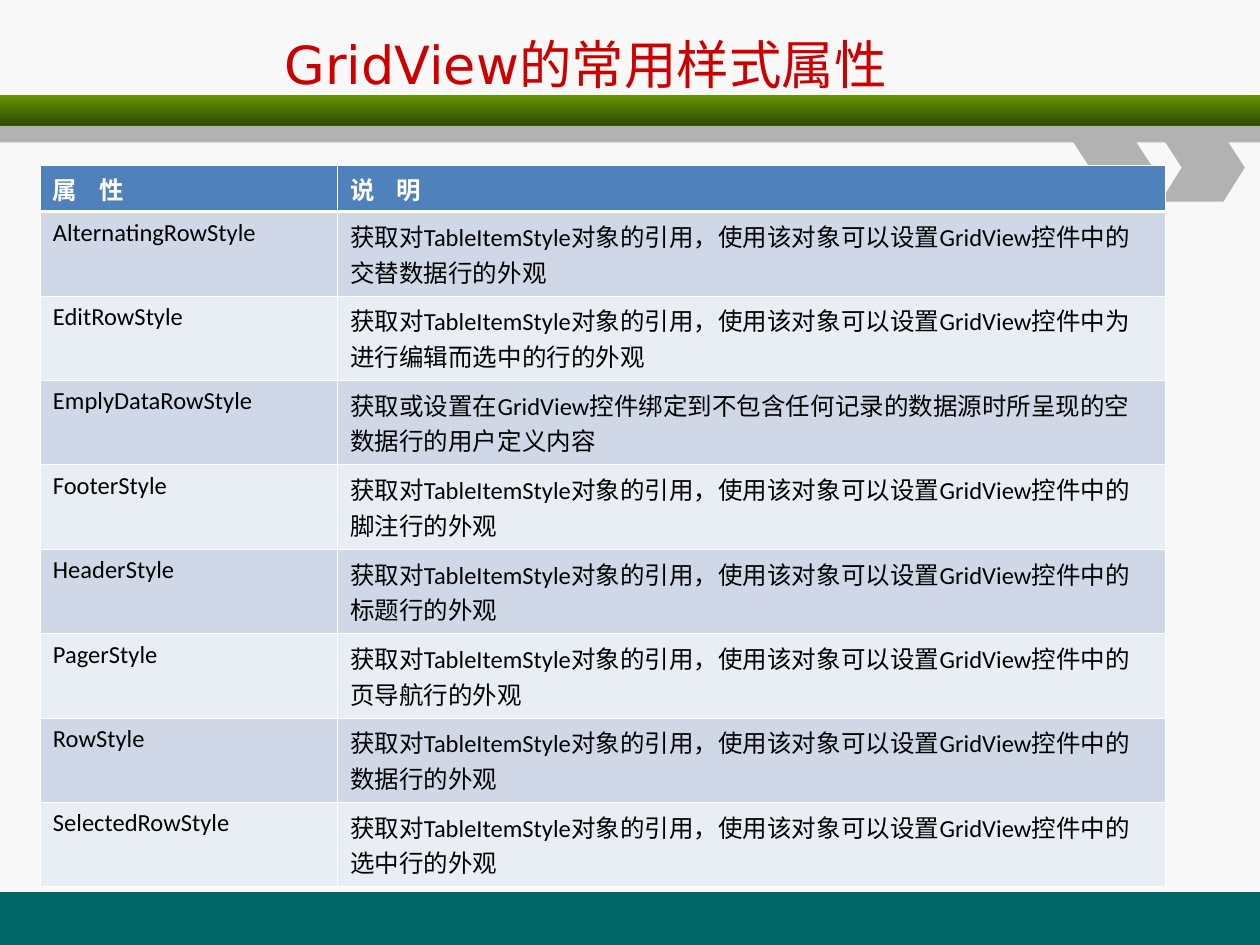
import pptx
import pptx.dml.color
import pptx.enum.shapes
import pptx.enum.text
import pptx.oxml
import pptx.oxml.ns
import pptx.util

Inches = pptx.util.Inches
Pt = pptx.util.Pt

COLORS = {
    "back": "F8F8F8", "foot": "006666", "green": "669900", "dark": "2F4700",
    "gray": "B2B2B2", "title": "CC0000", "head": "4F81BD", "odd": "D0D8E8",
    "even": "E9EDF4", "white": "FFFFFF", "black": "000000",
}
TITLE = {"size": Pt(30), "name": "DejaVu Sans"}
HEAD = {"size": Pt(14), "name": "Calibri", "bold": True}
BODY = {**HEAD, "bold": False}

USE = "获取对TableItemStyle对象的引用，使用该对象可以设置GridView控件中"
ROWS = [
    ("属\t性", "说\t明"),
    ("AlternatingRowStyle", USE + "的交替数据行的外观"),
    ("EditRowStyle", USE + "为进行编辑而选中的行的外观"),
    ("EmplyDataRowStyle",
     "获取或设置在GridView控件绑定到不包含任何记录的数据源时所呈现的空数据行的用户定义内容"),
    ("FooterStyle", USE + "的脚注行的外观"),
    ("HeaderStyle", USE + "的标题行的外观"),
    ("PagerStyle", USE + "的页导航行的外观"),
    ("RowStyle", USE + "的数据行的外观"),
    ("SelectedRowStyle", USE + "的选中行的外观"),
]
WIDTHS = (2.36, 6.57)
HEIGHTS = [0.37] + [0.67] * (len(ROWS) - 1)


def tint(key):
    return pptx.dml.color.RGBColor.from_string(COLORS[key])


def paint(fill, key):
    fill.solid()
    fill.fore_color.rgb = tint(key)


def style(font, form, key):
    for name, value in form.items():
        setattr(font, name, value)
    font.color.rgb = tint(key)


def plain(shape, key):
    """Give a shape a flat fill with no line or shadow."""
    shape.shadow.inherit = False
    shape.line.fill.background()
    paint(shape.fill, key)


def add_bar(slide, top, height, key):
    kind = pptx.enum.shapes.MSO_SHAPE.RECTANGLE
    bar = slide.shapes.add_shape(kind, 0, Inches(top), Inches(10), Inches(height))
    plain(bar, key)
    return bar


def shade(bar, keys):
    """Fill a bar with a gradient from top to bottom."""
    bar.fill.gradient()
    bar.fill.gradient_angle = 270
    for stop, key in zip(bar.fill.gradient_stops, keys):
        stop.color.rgb = tint(key)


def add_arrow(slide, left):
    """Draw a chevron that points right."""
    top, mid, low = 1.07, 1.33, 1.6
    points = [(left + 0.5, top), (left + 0.67, mid), (left + 0.5, low),
              (left, low), (left + 0.17, mid)]
    pen = slide.shapes.build_freeform(Inches(left), Inches(top), scale=1.0)
    pen.add_line_segments([(Inches(x), Inches(y)) for x, y in points], close=True)
    plain(pen.convert_to_shape(), "gray")


def add_title(slide, text):
    box = slide.shapes.add_textbox(Inches(2.16), Inches(0.17), Inches(5.51), Inches(0.67))
    frame = box.text_frame
    frame.word_wrap = True
    frame.vertical_anchor = pptx.enum.text.MSO_ANCHOR.MIDDLE
    line = frame.paragraphs[0]
    line.text = text
    style(line.runs[0].font, TITLE, "title")


def add_edges(cell, top, low):
    """Add white cell borders, with the top and bottom widths in points."""
    props = cell._tc.get_or_add_tcPr()
    for side, width in zip("LRTB", (0.45, 0.45, top, low)):
        props.append(pptx.oxml.parse_xml(
            f'<a:ln{side} {pptx.oxml.ns.nsdecls("a")} w="{Pt(width)}"><a:solidFill>'
            f'<a:srgbClr val="{COLORS["white"]}"/></a:solidFill></a:ln{side}>'))


def add_tab(line, pos):
    line._p.get_or_add_pPr().append(pptx.oxml.parse_xml(
        f'<a:tabLst {pptx.oxml.ns.nsdecls("a")}>'
        f'<a:tab pos="{Inches(pos)}" algn="l"/></a:tabLst>'))


def fill_cell(cell, text, row):
    add_edges(cell, 1.47 if row == 1 else 0.45, 1.47 if row == 0 else 0.45)
    paint(cell.fill, "head" if row == 0 else "odd" if row % 2 else "even")
    line = cell.text_frame.paragraphs[0]
    line.text = text
    if row == 0:
        add_tab(line, 0.37)
    style(line.runs[0].font, BODY if row else HEAD, "black" if row else "white")


def add_grid(slide):
    grid = slide.shapes.add_table(
        len(ROWS), len(WIDTHS), Inches(0.32), Inches(1.31),
        Inches(sum(WIDTHS)), Inches(sum(HEIGHTS))).table
    for col, width in zip(grid.columns, WIDTHS):
        col.width = Inches(width)
    for row, (texts, height) in enumerate(zip(ROWS, HEIGHTS)):
        grid.rows[row].height = Inches(height)
        for col, text in enumerate(texts):
            fill_cell(grid.cell(row, col), text, row)


def main():
    deck = pptx.Presentation()
    deck.slide_width, deck.slide_height = Inches(10), Inches(7.5)
    slide = deck.slides.add_slide(deck.slide_layouts[6])
    paint(slide.background.fill, "back")
    add_bar(slide, 7.08, 0.42, "foot")
    shade(add_bar(slide, 0.75, 0.25, "green"), ("green", "dark"))
    add_bar(slide, 1, 0.13, "gray")
    for left in (8.48, 9.21):
        add_arrow(slide, left)
    add_title(slide, "GridView的常用样式属性")
    add_grid(slide)
    deck.save("out.pptx")


if __name__ == "__main__":
    main()
